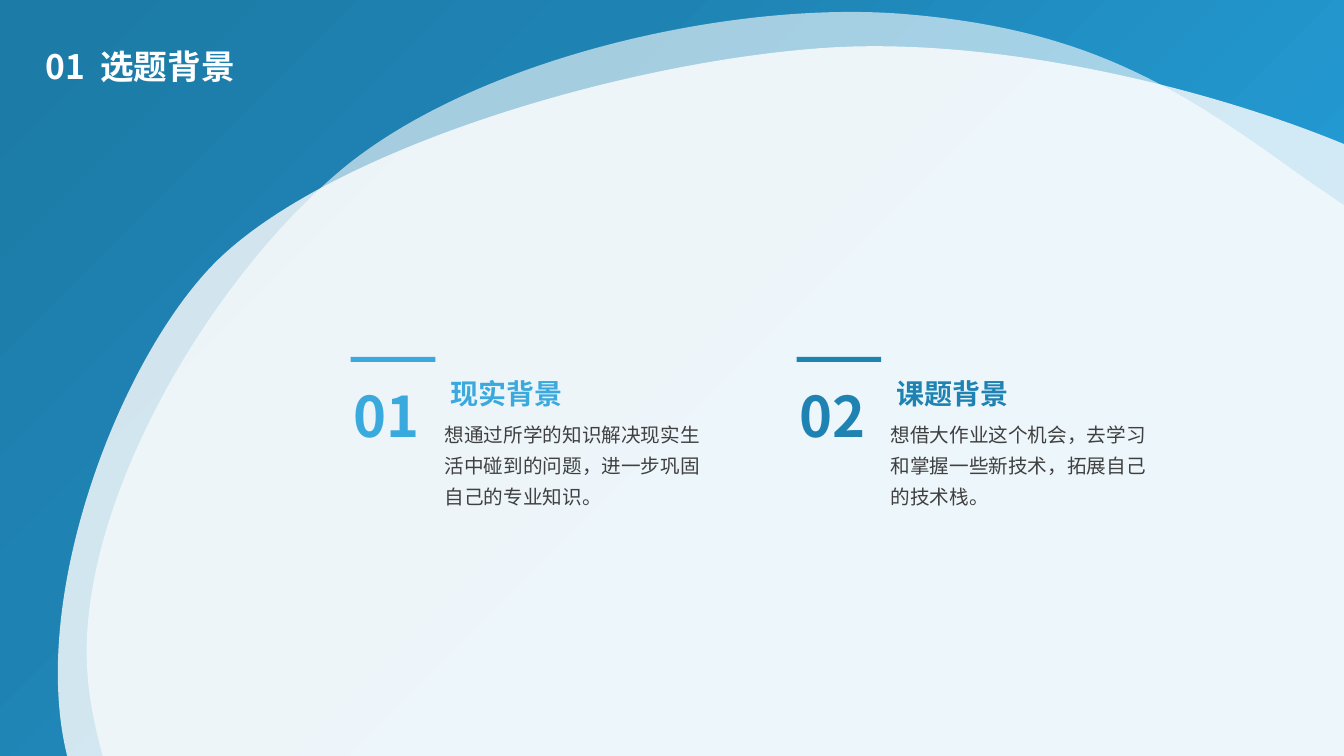
from dataclasses import dataclass

from lxml import etree
from pptx import Presentation
from pptx.dml.color import RGBColor
from pptx.enum.shapes import MSO_SHAPE
from pptx.enum.text import MSO_ANCHOR, MSO_AUTO_SIZE, PP_ALIGN
from pptx.oxml.ns import qn
from pptx.util import Pt

RECTANGLE = MSO_SHAPE.RECTANGLE
MIDDLE, LEFT = MSO_ANCHOR.MIDDLE, PP_ALIGN.LEFT
NO_FIT, GROW = MSO_AUTO_SIZE.NONE, MSO_AUTO_SIZE.SHAPE_TO_FIT_TEXT
TITLE_ONLY = 5
PAGE_WIDTH, PAGE_HEIGHT = 960, 540


@dataclass(frozen=True)
class Theme:
    font: str = "Noto Sans CJK SC"
    white: str = "FFFFFF"
    sky: str = "39A9DE"
    ocean: str = "1E83B3"
    ink: str = "404040"
    backdrop: tuple = ((0, "239CD5"), (23, "239CD5"), (69, "1E83B3"), (97, "1C7BA7"))
    title_size: int = 24
    number_size: int = 40
    heading_size: int = 20
    body_size: int = 14


THEME = Theme()

# Bezier points in hundredths of an inch: a start, then three points per curve.
BACK_BLOB = [
    (1272, 161),
    (1155, 77), (1065, 28), (898, 14),
    (731, 0), (480, 55), (344, 164),
    (209, 274), (73, 504), (87, 671),
    (100, 838), (289, 1202), (486, 1292),
    (683, 1381), (1243, 1378), (1429, 1249),
    (1615, 1121), (1614, 687), (1601, 520),
    (1587, 353), (1389, 246), (1272, 161),
]
FRONT_BLOB = [
    (1653, 446),
    (1612, 342), (1570, 272), (1432, 191),
    (1294, 110), (1029, 36), (827, 47),
    (624, 59), (329, 147), (215, 259),
    (102, 371), (-6, 684), (102, 827),
    (209, 969), (709, 1209), (971, 1207),
    (1233, 1206), (1560, 929), (1674, 817),
    (1788, 705), (1693, 551), (1653, 446),
]

TOPICS = [
    ("01", "现实背景", "想通过所学的知识解决现实生活中碰到的问题，进一步巩固自己的专业知识。", THEME.sky),
    ("02", "课题背景", "想借大作业这个机会，去学习和掌握一些新技术，拓展自己的技术栈。", THEME.ocean),
]
TOPIC_LEFT, TOPIC_TOP, TOPIC_STEP = 250.5, 254.9, 318.5


def apply_format(target, values):
    for name, value in values.items():
        setattr(target, name, value)


def frame(left, top, width, height):
    return Pt(left), Pt(top), Pt(width), Pt(height)


def add_span(para, text, size, color, bold=False):
    span = para.add_run()
    span.text = text
    apply_format(span.font, {"name": THEME.font, "size": Pt(size), "bold": bold})
    span.font.color.rgb = RGBColor.from_string(color)
    properties = span.font._element
    etree.SubElement(properties, qn("a:ea")).set("typeface", THEME.font)
    return properties


def add_text(page, place, text, size, color, bold=False, wrap=False):
    box = page.shapes.add_textbox(*frame(*place))
    apply_format(box.text_frame, {"word_wrap": wrap, "auto_size": GROW})
    para = box.text_frame.paragraphs[0]
    para.line_spacing = 1.3
    add_span(para, text, size, color, bold)


def add_bar(page, place, color):
    bar = page.shapes.add_shape(RECTANGLE, *frame(*place))
    bar.shadow.inherit = False
    bar.fill.solid()
    bar.fill.fore_color.rgb = RGBColor.from_string(color)
    bar.line.fill.background()


def add_backdrop(page):
    backdrop = page.shapes.add_shape(RECTANGLE, *frame(0, 0, PAGE_WIDTH, PAGE_HEIGHT))
    backdrop.shadow.inherit = False
    backdrop.line.fill.background()
    backdrop.fill.gradient()
    backdrop.fill.gradient_angle = 135
    stops = backdrop._element.spPr.find(".//" + qn("a:gsLst"))
    for stop in list(stops):
        stops.remove(stop)
    for percent, color in THEME.backdrop:
        stop = etree.SubElement(stops, qn("a:gs"), pos=str(percent * 1000))
        etree.SubElement(stop, qn("a:srgbClr"), val=color)


def add_blob(page, points, opacity):
    """Draw a closed curve by turning each three line segments into one Bezier."""
    builder = page.shapes.build_freeform(*points[0], scale=Pt(0.72))
    builder.add_line_segments(points[1:], close=True)
    blob = builder.convert_to_shape()
    segments = list(blob._element.iter(qn("a:lnTo")))
    for first, second, third in zip(segments[::3], segments[1::3], segments[2::3]):
        curve = etree.Element(qn("a:cubicBezTo"))
        first.addprevious(curve)
        for segment in (first, second, third):
            curve.append(segment[0])
            segment.getparent().remove(segment)
    blob.shadow.inherit = False
    blob.line.fill.background()
    blob.fill.solid()
    blob.fill.fore_color.rgb = RGBColor.from_string(THEME.white)
    color = blob._element.spPr.find(qn("a:solidFill"))[0]
    etree.SubElement(color, qn("a:alpha"), val=str(opacity * 1000))


def set_title(page, number, text):
    title = page.shapes.title
    left, top, width, height = frame(25.2, 20.2, 417.6, 56.9)
    apply_format(title, {"left": left, "top": top, "width": width, "height": height})
    apply_format(title.text_frame, {"vertical_anchor": MIDDLE, "word_wrap": True, "auto_size": NO_FIT})
    para = title.text_frame.paragraphs[0]
    apply_format(para, {"alignment": LEFT, "line_spacing": 0.9, "space_before": Pt(0)})
    look = (THEME.title_size, THEME.white, True)
    add_span(para, number, *look)
    add_span(para, " ", *look).set("spc", "540")
    add_span(para, text, *look)
    page.shapes._spTree.append(title._element)


def add_topic(page, left, number, heading, body, color):
    top = TOPIC_TOP
    add_bar(page, (left, top, 60.5, 3.6), color)
    add_text(page, (left + 60, top + 38.9, 198, 73.4), body, THEME.body_size, THEME.ink, wrap=True)
    add_text(page, (left + 64, top + 3.6, 94.3, 38.9), heading, THEME.heading_size, color, bold=True)
    add_text(page, (left - 5, top, 64.1, 70.6), number, THEME.number_size, color, bold=True)


def main():
    deck = Presentation()
    apply_format(deck, {"slide_width": Pt(PAGE_WIDTH), "slide_height": Pt(PAGE_HEIGHT)})
    page = deck.slides.add_slide(deck.slide_layouts[TITLE_ONLY])
    add_backdrop(page)
    add_blob(page, BACK_BLOB, 60)
    add_blob(page, FRONT_BLOB, 80)
    set_title(page, "01", "选题背景")
    for index, topic in enumerate(TOPICS):
        add_topic(page, TOPIC_LEFT + index * TOPIC_STEP, *topic)
    deck.save("out.pptx")


if __name__ == "__main__":
    main()
